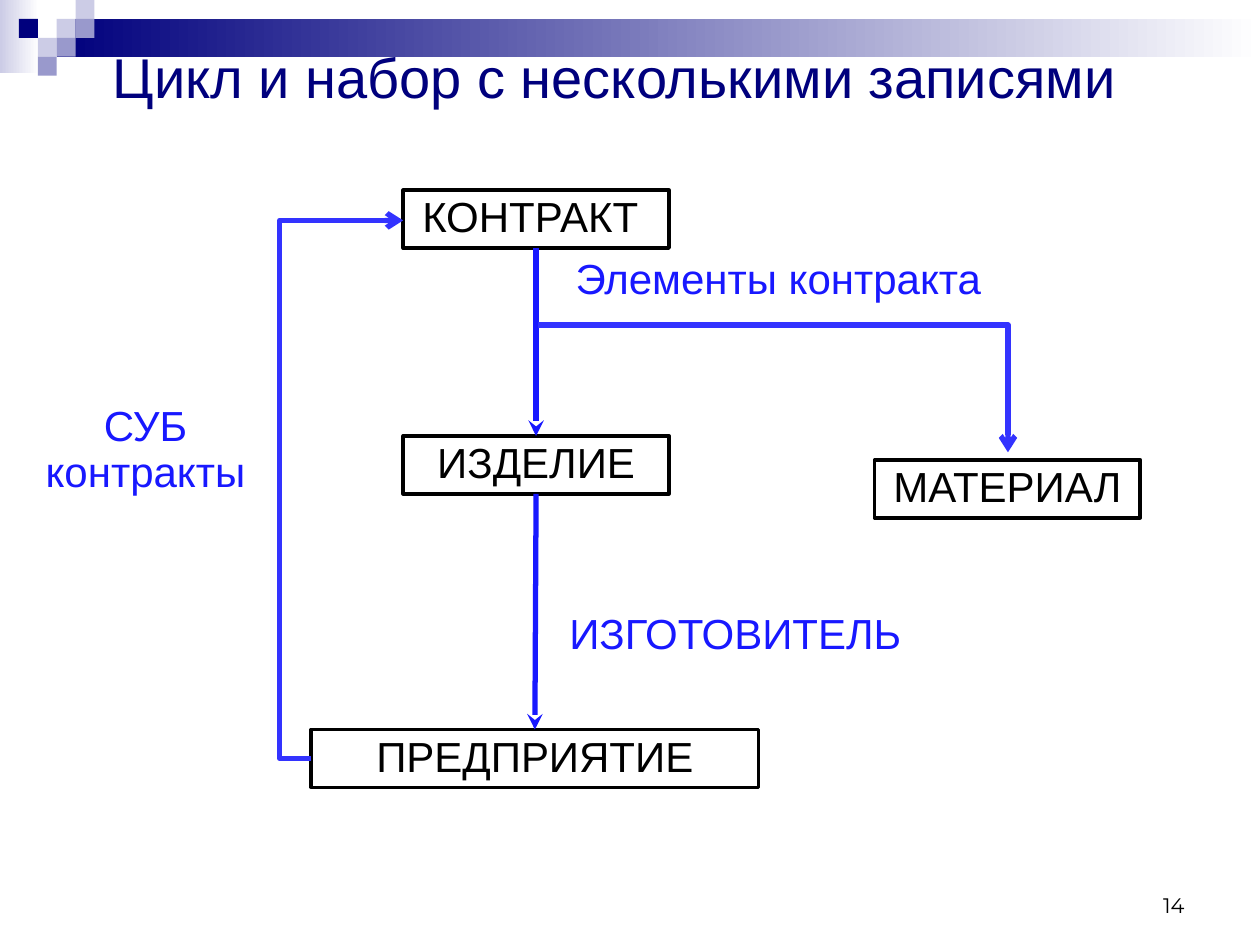
from lxml import etree
from pptx import Presentation
from pptx.dml.color import RGBColor
from pptx.enum import shapes, text
from pptx.oxml.ns import qn
from pptx.util import Inches, Pt

THEME = {
    "font": "Arial", "number_font": "Montserrat",
    "title_size": 32, "label_size": 24, "number_size": 12,
    "navy": "00007D", "mid": "9999CC", "pale": "CCCCE6", "white": "FFFFFF",
    "black": "000000", "label": "1818FF", "bent": "3333FF",
}
TITLE = ("Цикл и набор с несколькими записями", (0.59, 0.29, 8.58, 0.63))
NUMBER = ("14", (7.17, 6.83, 2.33, 0.5))

# Header bands: box, first gradient colour
BANDS = [((0, 0, 0.31, 0.58), "pale"), ((0.45, 0.15, 9.55, 0.3), "navy")]
# Header squares: column, row, colour
TILE = 0.15
TILES = [(3, 1, "pale"), (4, 0, "pale"), (4, 1, "mid"), (2, 2, "pale"),
         (1, 1, "navy"), (3, 2, "mid"), (2, 3, "mid")]

ROW_HEIGHT = 0.46
# Record types: text, left, top, width
RECORDS = {
    "contract": ("КОНТРАКТ ", 3.2, 1.51, 2.11),
    "product": ("ИЗДЕЛИЕ", 3.2, 3.46, 2.11),
    "company": ("ПРЕДПРИЯТИЕ", 2.47, 5.79, 3.55),
    "material": ("МАТЕРИАЛ", 6.94, 3.65, 2.11),
}
# Set names: text, box, alignment
SETS = [
    ("СУБ контракты", (0.24, 3.17, 1.83, 0.83), text.PP_ALIGN.CENTER),
    ("Элементы контракта", (4.47, 2, 3.6, ROW_HEIGHT), text.PP_ALIGN.LEFT),
    ("ИЗГОТОВИТЕЛЬ", (4.42, 4.82, 3.33, ROW_HEIGHT), text.PP_ALIGN.LEFT),
]
STRAIGHT_LINKS = [("contract", "product"), ("product", "company")]
# Bent links: start, end, preset, bend position in thousandths of a percent
BENT_LINKS = [
    ((2.47, 6.02), (3.2, 1.75), "bentConnector3", -34300),
    ((4.27, 2.58), (8, 3.59), "bentConnector2", None),
]


def color(name):
    return RGBColor.from_string(THEME[name])


def inches(values):
    return [Inches(value) for value in values]


def write(shape, words, size, ink, align, anchor, font="font", wrap=True, spacing=None):
    frame = shape.text_frame
    frame.word_wrap = wrap
    frame.auto_size = text.MSO_AUTO_SIZE.NONE
    frame.vertical_anchor = anchor
    paragraph = frame.paragraphs[0]
    paragraph.alignment = align
    paragraph.line_spacing = spacing
    run = paragraph.add_run()
    run.text = words
    run.font.name = THEME[font]
    run.font.size = Pt(THEME[size])
    run.font.color.rgb = color(ink)


def add_rectangle(slide, box):
    shape = slide.shapes.add_shape(shapes.MSO_SHAPE.RECTANGLE, *inches(box))
    shape.shadow.inherit = False
    return shape


def add_header(slide):
    for box, start in BANDS:
        band = add_rectangle(slide, box)
        band.line.fill.background()
        band.fill.gradient()
        band.fill.gradient_angle = 0
        for stop, name in zip(band.fill.gradient_stops, (start, "white")):
            stop.color.rgb = color(name)
    for column, row, name in TILES:
        tile = add_rectangle(slide, (column * TILE, row * TILE, TILE, TILE))
        tile.line.fill.background()
        tile.fill.solid()
        tile.fill.fore_color.rgb = color(name)


def add_record(slide, words, left, top, width):
    shape = add_rectangle(slide, (left, top, width, ROW_HEIGHT))
    shape.fill.background()
    shape.line.color.rgb = color("black")
    shape.line.width = Pt(2)
    write(shape, words, "label_size", "black", text.PP_ALIGN.CENTER,
          text.MSO_ANCHOR.TOP, wrap=False, spacing=0.9)
    return shape


def add_arrow(slide, kind, start, end, ink, head):
    connector = slide.shapes.add_connector(kind, *inches(start + end))
    connector.line.color.rgb = color(ink)
    connector.line.width = Pt(3)
    etree.SubElement(connector.line._get_or_add_ln(), qn("a:tailEnd"), type=head)
    etree.SubElement(connector._element.spPr, qn("a:effectLst"))
    return connector


def bend(connector, preset, position):
    geometry = connector._element.spPr.find(qn("a:prstGeom"))
    geometry.set("prst", preset)
    if position is not None:
        guides = geometry.find(qn("a:avLst"))
        etree.SubElement(guides, qn("a:gd"), name="adj1", fmla=f"val {position}")


def main():
    presentation = Presentation()
    presentation.slide_width, presentation.slide_height = inches((10, 7.5))
    slide = presentation.slides.add_slide(presentation.slide_layouts[5])
    add_header(slide)

    words, box = TITLE
    title = slide.shapes.title
    title.left, title.top, title.width, title.height = inches(box)
    write(title, words, "title_size", "navy", text.PP_ALIGN.CENTER, text.MSO_ANCHOR.MIDDLE)
    slide.shapes._spTree.append(title._element)

    words, box = NUMBER
    write(slide.shapes.add_textbox(*inches(box)), words, "number_size", "black",
          text.PP_ALIGN.RIGHT, text.MSO_ANCHOR.BOTTOM, font="number_font")

    records = {name: add_record(slide, *record) for name, record in RECORDS.items()}
    for words, box, align in SETS:
        write(slide.shapes.add_textbox(*inches(box)), words, "label_size", "label",
              align, text.MSO_ANCHOR.TOP, spacing=0.9)

    for owner, member in STRAIGHT_LINKS:
        arrow = add_arrow(slide, shapes.MSO_CONNECTOR.STRAIGHT, (0, 0), (0, 0),
                          "label", "stealth")
        arrow.begin_connect(records[owner], 2)
        arrow.end_connect(records[member], 0)
    for start, end, preset, position in BENT_LINKS:
        arrow = add_arrow(slide, shapes.MSO_CONNECTOR.ELBOW, start, end, "bent", "arrow")
        bend(arrow, preset, position)

    presentation.save("out.pptx")


if __name__ == "__main__":
    main()
